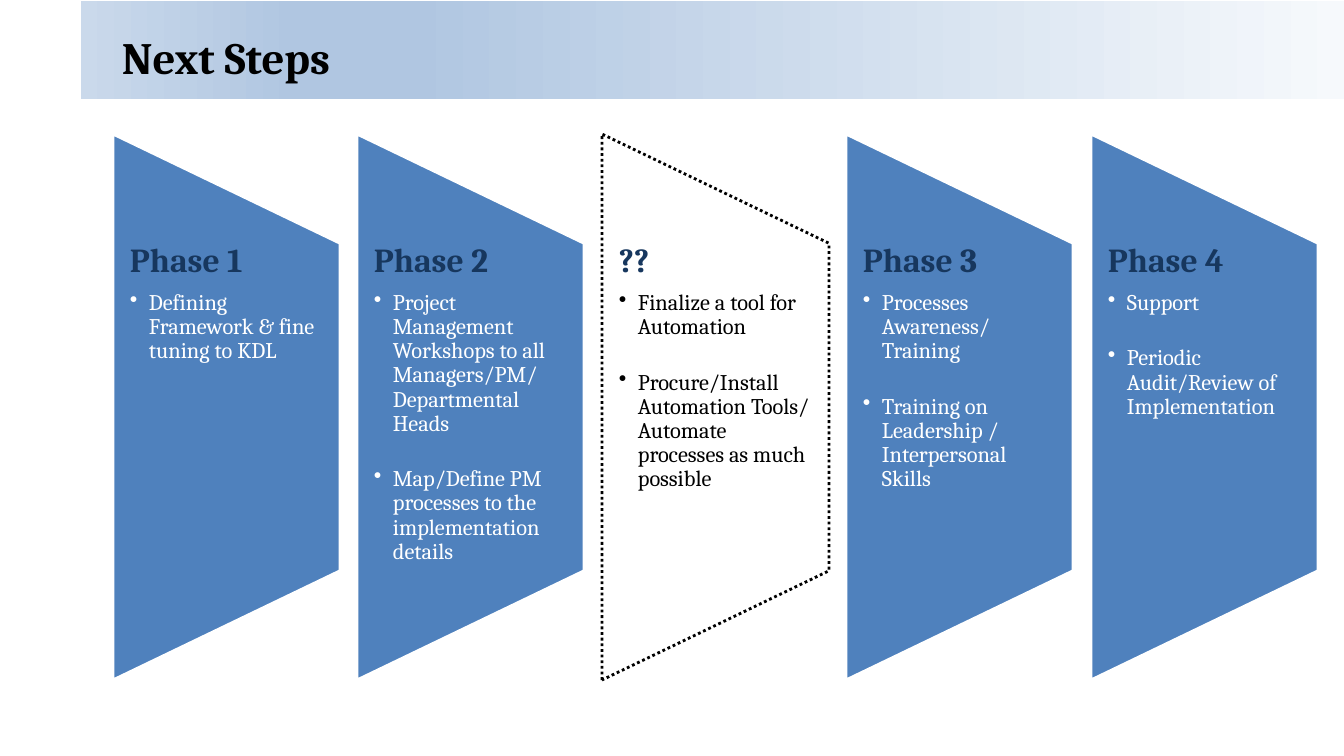
from dataclasses import dataclass
from lxml import etree
from pptx import Presentation
from pptx.dml.color import RGBColor
from pptx.enum.dml import MSO_LINE
from pptx.enum.shapes import MSO_SHAPE
from pptx.enum.text import MSO_ANCHOR
from pptx.oxml.ns import qn
from pptx.util import Pt

SCALE = 914400 / 100.8
RECT = MSO_SHAPE.RECTANGLE
PANEL = MSO_SHAPE.FLOWCHART_MANUAL_OPERATION
DOTS = MSO_LINE.ROUND_DOT
TOP, MIDDLE = MSO_ANCHOR.TOP, MSO_ANCHOR.MIDDLE


@dataclass(frozen=True)
class Theme:
    font: str = "Cambria"
    black: str = "000000"
    white: str = "FFFFFF"
    blue: str = "4F81BD"
    navy: str = "17375E"
    fade: tuple = ((0, "F6F9FC"), (74, "B0C6E1"), (83, "B0C6E1"), (100, "CAD9EB"))
    title: int = 32
    head: int = 24
    body: int = 16


def px(num):
    return round(num * SCALE)


class Deck:
    def __init__(self, theme):
        self.theme = theme
        self.file = Presentation()
        self.file.slide_width, self.file.slide_height = px(1344), px(756)
        self.slide = self.file.slides.add_slide(self.file.slide_layouts[6])

    def shape(self, kind, left, top, width, height):
        item = self.slide.shapes.add_shape(kind, px(left), px(top), px(width), px(height))
        item.shadow.inherit = False
        return item

    def band(self, left, top, width, height):
        item = self.shape(RECT, left, top, width, height)
        item.line.fill.background()
        item.fill.gradient()
        item.fill.gradient_angle = 180
        stops = item._element.spPr.find(".//" + qn("a:gsLst"))
        for old in list(stops):
            stops.remove(old)
        for place, color in self.theme.fade:
            stop = etree.SubElement(stops, qn("a:gs"), pos=str(place * 1000))
            etree.SubElement(stop, qn("a:srgbClr"), val=color)

    def panel(self, left, top, width, height, dotted):
        item = self.shape(PANEL, left + (width - height) / 2,
                          top + (height - width) / 2, height, width)
        item.rotation = 270
        item.line.width = Pt(2)
        if dotted:
            item.fill.background()
            item.line.color.rgb = RGBColor.from_string(self.theme.black)
            item.line.dash_style = DOTS
        else:
            item.fill.solid()
            item.fill.fore_color.rgb = RGBColor.from_string(self.theme.blue)
            item.line.color.rgb = RGBColor.from_string(self.theme.white)

    def box(self, left, top, width, height, side, anchor):
        frame = self.slide.shapes.add_textbox(px(left), px(top), px(width), px(height)).text_frame
        frame.word_wrap = True
        frame.vertical_anchor = anchor
        frame.margin_left = frame.margin_right = px(side)
        frame.margin_top = frame.margin_bottom = 0
        return frame

    def run(self, para, text, size, color, bold=False):
        run = para.add_run()
        run.text = text
        run.font.name = self.theme.font
        run.font.size = Pt(size)
        run.font.bold = bold
        run.font.color.rgb = RGBColor.from_string(color)

    def bullet(self, frame, text, color, gap):
        para = frame.add_paragraph()
        para.line_spacing = 0.9
        para.space_before = Pt(gap)
        props = para._p.get_or_add_pPr()
        props.set("marL", str(px(19)))
        props.set("indent", str(-px(19)))
        etree.SubElement(props, qn("a:buFontTx"))
        etree.SubElement(props, qn("a:buChar"), char="•")
        self.run(para, text, self.theme.body, color)

    def title(self, text):
        frame = self.box(112, 7, 1187, 100, 10, MIDDLE)
        self.run(frame.paragraphs[0], text, self.theme.title, self.theme.black, True)

    def phase(self, left, head, points, dotted):
        self.panel(left, 134, 227, 546, dotted)
        frame = self.box(left, 243, 227, 328, 17, TOP)
        para = frame.paragraphs[0]
        para.line_spacing = 0.9
        self.run(para, head, self.theme.head, self.theme.navy, True)
        color = self.theme.black if dotted else self.theme.white
        for rank, point in enumerate(points):
            self.bullet(frame, point, color, 22.4 if rank else 8.4)


PHASES = (
    ("Phase 1", ("Defining Framework & fine tuning to KDL",)),
    ("Phase 2", ("Project Management Workshops to all Managers/PM/ Departmental Heads",
                 "Map/Define PM processes to the implementation details")),
    ("??", ("Finalize a tool for Automation",
            "Procure/Install Automation Tools/ Automate processes as much possible")),
    ("Phase 3", ("Processes Awareness/ Training",
                 "Training on Leadership / Interpersonal Skills")),
    ("Phase 4", ("Support", "Periodic Audit/Review of Implementation")),
)


def main():
    deck = Deck(Theme())
    deck.band(81, 1, 1263, 98)
    deck.title("Next Steps")
    for rank, (head, points) in enumerate(PHASES):
        deck.phase(113 + rank * 489 // 2, head, points, head == "??")
    deck.file.save("out.pptx")


if __name__ == "__main__":
    main()
